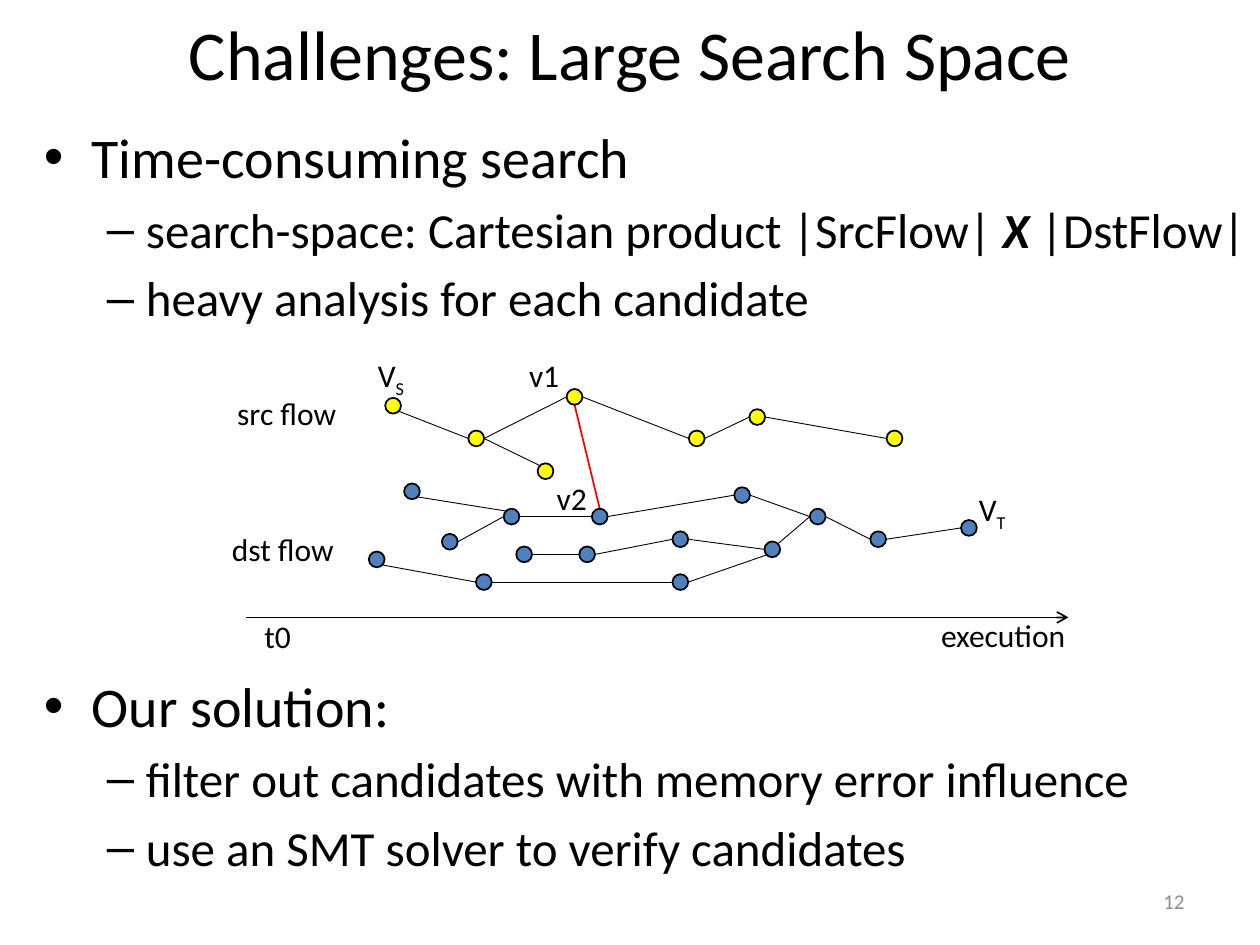
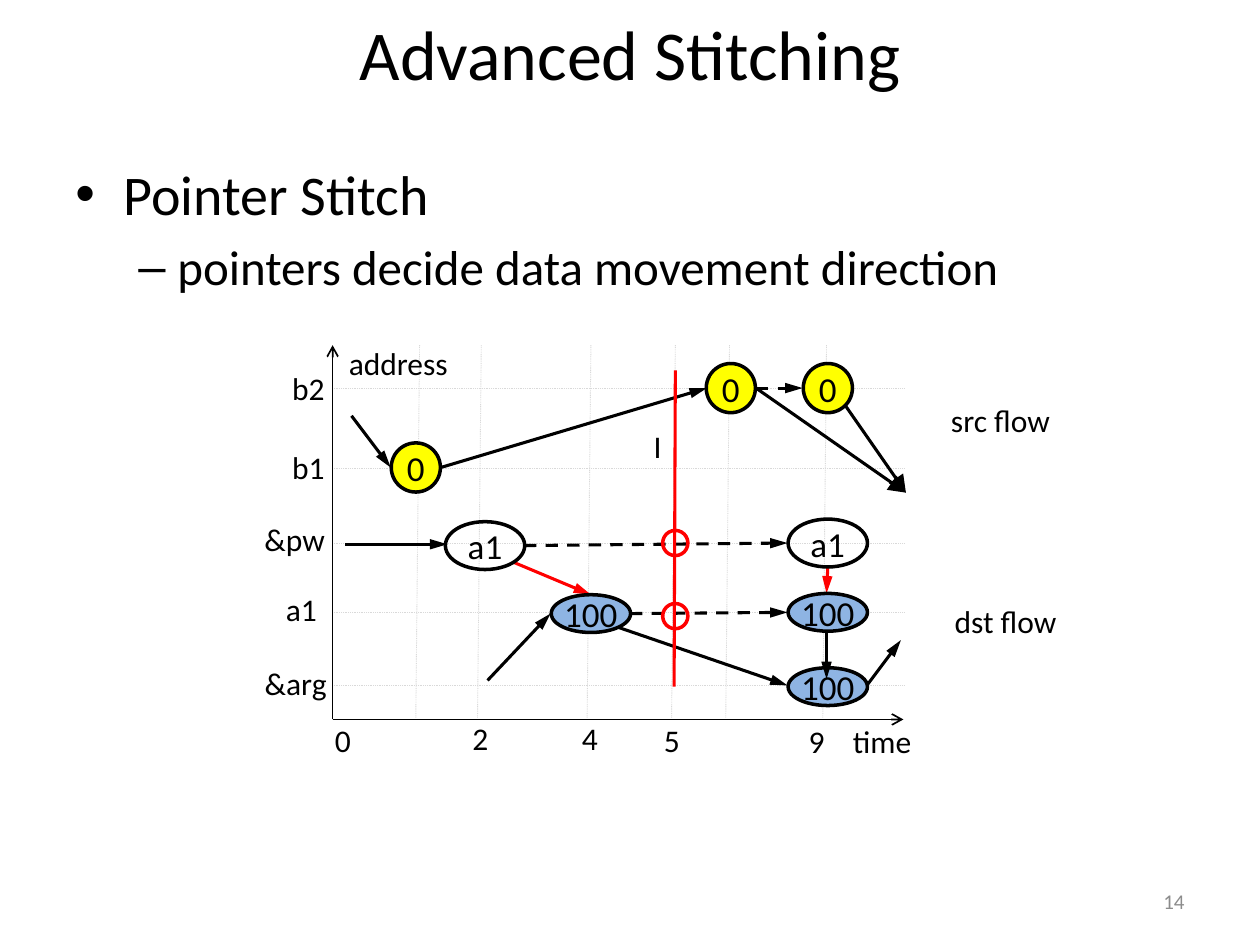
from lxml import etree
from pptx import Presentation
from pptx import util as u
from pptx.dml.color import RGBColor
from pptx.enum import dml, shapes, text
from pptx.oxml.ns import qn

FONT = "Calibri"
COLORS = {
    "black": "000000", "gray": "8C8C8C", "grid": "D9D9D9", "red": "FF0000",
    "yellow": "FFFF00", "blue": "4F81BD", "light blue": "8EB4E3",
}
LEFT, CENTER, RIGHT = text.PP_ALIGN.LEFT, text.PP_ALIGN.CENTER, text.PP_ALIGN.RIGHT
TOP, MIDDLE = text.MSO_ANCHOR.TOP, text.MSO_ANCHOR.MIDDLE


def write(shape, paragraphs, size=18, color="black", align=LEFT, anchor=TOP, inset=(0.1, 0.05)):
    """Fill a shape with paragraphs, each a list of (words, style) runs."""
    frame = shape.text_frame
    frame.word_wrap = True
    frame.vertical_anchor = anchor
    frame.margin_left = frame.margin_right = u.Inches(inset[0])
    frame.margin_top = frame.margin_bottom = u.Inches(inset[1])
    for index, runs in enumerate(paragraphs):
        paragraph = frame.add_paragraph() if index else frame.paragraphs[0]
        paragraph.alignment = align
        for words, style in runs:
            run = paragraph.add_run()
            run.text = words
            run.font.name = FONT
            run.font.size = u.Pt(size)
            run.font.color.rgb = RGBColor.from_string(COLORS[color])
            if style == "strong":
                run.font.bold = run.font.italic = True
            if style == "sub":
                run.font._element.set("baseline", "-25000")


def add_line(slide, start, end, color="black", width=0.5, dash=None, head=None):
    """Draw a straight line; head is (type, width, length) of the arrowhead at its end."""
    line = slide.shapes.add_connector(
        shapes.MSO_CONNECTOR.STRAIGHT, *[u.Inches(value) for value in (*start, *end)])
    line.line.color.rgb = RGBColor.from_string(COLORS[color])
    line.line.width = u.Pt(width)
    if dash:
        line.line.dash_style = dash
    if head:
        kind, breadth, length = head
        etree.SubElement(line.line._get_or_add_ln(), qn("a:tailEnd"),
                         type=kind, w=breadth, len=length)
    etree.SubElement(line._element.spPr, qn("a:effectLst"))


presentation = Presentation()
presentation.slide_width = u.Inches(10)
presentation.slide_height = u.Inches(7.5)

# Titles, slide numbers and bullets; a bullet is (level, runs)
pages = [
    ("Challenges: Large Search Space", "12", [
        ((0.25, 0.92, 9.83, 1.9), [
            (0, [("Time-consuming search", "")]),
            (1, [("search-space: Cartesian product |SrcFlow| ", ""),
                 ("X", "strong"), (" |DstFlow|", "")]),
            (1, [("heavy analysis for each candidate", "")])]),
        ((0.25, 5.28, 9.5, 1.9), [
            (0, [("Our solution:", "")]),
            (1, [("filter out candidates with memory error influence", "")]),
            (1, [("use an SMT solver to verify candidates", "")])]),
    ]),
    ("Advanced Stitching", "14", [
        ((0.5, 1.22, 9, 1.3), [
            (0, [("Pointer Stitch", "")]),
            (1, [("pointers decide data movement direction", "")])]),
    ]),
]
bullet_levels = [(32, 0.38, -0.38, "•"), (28, 0.81, -0.31, "–")]

slides = []
for title, number, blocks in pages:
    slide = presentation.slides.add_slide(presentation.slide_layouts[6])
    slides.append(slide)
    write(slide.shapes.add_textbox(*map(u.Inches, (0.5, 0, 9, 0.83))), [[(title, "")]],
          size=40, align=CENTER, anchor=MIDDLE)
    write(slide.shapes.add_textbox(*map(u.Inches, (7.17, 6.95, 2.33, 0.4))), [[(number, "")]],
          size=12, color="gray", align=RIGHT, anchor=MIDDLE)
    for box, bullets in blocks:
        block = slide.shapes.add_textbox(*map(u.Inches, box))
        write(block, [runs for level, runs in bullets])
        for paragraph, (level, runs) in zip(block.text_frame.paragraphs, bullets):
            size, margin, indent, mark = bullet_levels[level]
            paragraph.level = level
            paragraph.space_before = u.Pt(size * 0.2)
            for run in paragraph.runs:
                run.font.size = u.Pt(size)
            properties = paragraph._p.get_or_add_pPr()
            properties.set("marL", str(u.Inches(margin)))
            properties.set("indent", str(u.Inches(indent)))
            etree.SubElement(properties, qn("a:buFont"), typeface="Arial")
            etree.SubElement(properties, qn("a:buChar"), char=mark)

search, stitching = slides

# Search space: dots by centre
DOT = 0.125
src_dots = {"VS": (3.12, 3.22), "fork": (3.78, 3.48), "v1": (4.56, 3.15), "spur": (4.33, 3.74),
            "s1": (5.53, 3.48), "s2": (6.01, 3.31), "s3": (7.1, 3.48)}
dst_dots = {"top": (3.27, 3.9), "middle": (3.57, 4.3), "join": (4.06, 4.1), "v2": (4.76, 4.1),
            "d1": (5.89, 3.93), "d2": (6.49, 4.1), "d3": (6.97, 4.28), "VT": (7.69, 4.19),
            "inner1": (4.16, 4.4), "inner2": (4.66, 4.4), "inner3": (5.4, 4.28),
            "low1": (2.99, 4.44), "low2": (3.84, 4.62), "low3": (5.4, 4.62),
            "merge": (6.13, 4.36)}
dots = {**src_dots, **dst_dots}

# Search space: edges leave and enter at a compass point of the dots
compass = {"E": (1, 0), "W": (-1, 0), "N": (0, -1), "S": (0, 1),
           "NE": (0.7, -0.7), "NW": (-0.7, -0.7), "SE": (0.7, 0.7), "SW": (-0.7, 0.7)}
straight_paths = ["fork v1 s1 s2 s3", "middle join v2 d1 d2 d3 VT",
                  "inner1 inner2 inner3 merge", "low2 low3"]
edges = [(start, "E", end, "W", "black", 0.5)
         for route in straight_paths
         for start, end in zip(route.split(), route.split()[1:])]
edges += [("VS", "SE", "fork", "W", "black", 0.5), ("fork", "E", "spur", "NW", "black", 0.5),
          ("top", "SE", "join", "NW", "black", 0.5), ("low1", "SE", "low2", "W", "black", 0.5),
          ("low3", "E", "merge", "SW", "black", 0.5), ("merge", "NE", "d2", "W", "black", 0.5),
          ("v1", "S", "v2", "N", "red", 1)]
for start, leave, end, enter, color, width in edges:
    ends = [[centre + DOT / 2 * step for centre, step in zip(dots[dot], compass[side])]
            for dot, side in ((start, leave), (end, enter))]
    add_line(search, *ends, color=color, width=width)

# Stitching: dotted grid behind the axes
for y in (3.08, 3.72, 4.31, 4.86, 5.44):
    add_line(stitching, (2.65, y), (7.18, y), "grid", dash=dml.MSO_LINE.ROUND_DOT)
for x in (3.33, 3.82, 4.69, 5.36, 5.79, 6.56):
    add_line(stitching, (x, 2.74), (x - 0.03, 5.7), "grid", dash=dml.MSO_LINE.ROUND_DOT)

# Axes of both diagrams
open_head = ("arrow", "med", "med")
add_line(search, (1.95, 4.9), (8.48, 4.9), width=1, head=open_head)
for end in ((7.17, 5.71), (2.64, 2.74)):
    add_line(stitching, (2.64, 5.71), end, width=1, head=open_head)

# Stitching: data movement arrows
slim_head, wide_head = ("triangle", "med", "lg"), ("triangle", "lg", "lg")
dashed = dml.MSO_LINE.DASH
arrows = [
    ((2.79, 3.3), (3.1, 3.71), "black", None, slim_head),
    ((3.5, 3.71), (5.61, 3.08), "black", None, slim_head),
    ((6, 3.08), (6.37, 3.08), "black", dashed, slim_head),
    ((6, 3.08), (7.19, 3.91), "black", None, wide_head),
    ((6.71, 3.22), (7.19, 3.91), "black", None, wide_head),
    ((2.74, 4.32), (3.55, 4.32), "black", None, slim_head),
    ((4.16, 4.33), (6.25, 4.31), "black", dashed, slim_head),
    ((4.07, 4.46), (4.69, 4.72), "red", None, slim_head),
    ((6.57, 4.5), (6.56, 4.71), "red", None, slim_head),
    ((3.87, 5.4), (4.37, 4.87), "black", None, slim_head),
    ((5, 4.87), (6.25, 4.86), "black", dashed, slim_head),
    ((4.91, 4.98), (6.25, 5.44), "black", None, slim_head),
    ((6.88, 5.44), (7.15, 5.08), "black", None, slim_head),
    ((5.35, 5.45), (5.36, 2.94), "red", None, None),
]
for start, end, color, dash, head in arrows:
    add_line(stitching, start, end, color, 1.75, dash, head)

# Ellipses of both diagrams: slide, centre, size, fill, line colour, line width, value
ellipses = [(search, centre, (DOT, DOT), fill, "black", 1, "")
            for group, fill in ((src_dots, "yellow"), (dst_dots, "blue"))
            for centre in group.values()]
nodes = [
    ("0", (0.39, 0.39), "yellow", "black", [(3.3, 3.71), (5.8, 3.08), (6.57, 3.08)]),
    ("a1", (0.63, 0.38), None, "black", [(3.85, 4.33), (6.57, 4.31)]),
    ("100", (0.63, 0.3), "light blue", "black", [(4.69, 4.87), (6.57, 4.86), (6.57, 5.45)]),
    ("", (0.2, 0.2), None, "red", [(5.36, 4.31), (5.36, 4.89)]),
]
ellipses += [(stitching, centre, size, fill, outline, 2, value)
             for value, size, fill, outline, centres in nodes for centre in centres]
for slide, (x, y), (width, height), fill, outline, weight, value in ellipses:
    shape = slide.shapes.add_shape(
        shapes.MSO_SHAPE.OVAL,
        *map(u.Inches, (x - width / 2, y - height / 2, width, height)))
    shape.shadow.inherit = False
    if fill:
        shape.fill.solid()
        shape.fill.fore_color.rgb = RGBColor.from_string(COLORS[fill])
    else:
        shape.fill.background()
    shape.line.color.rgb = RGBColor.from_string(COLORS[outline])
    shape.line.width = u.Pt(weight)
    if value:
        write(shape, [[(value, "")]], size=20, align=CENTER, anchor=MIDDLE, inset=(0, 0))

# The arrow between the two lower values ends on top of the lower one
add_line(stitching, (6.56, 5.01), (6.56, 5.39), width=1.75, head=slim_head)

# Labels: slide, text with an optional subscript after "_", left, top, width, alignment
labels = [
    (search, "src flow", 1.67, 3.08, 1.21, CENTER),
    (search, "dst flow", 1.58, 4.16, 1.33, CENTER),
    (search, "t0", 2, 4.85, 0.58, LEFT),
    (search, "execution", 7.37, 4.84, 1.38, LEFT),
    (search, "V_S", 2.9, 2.78, 0.6, LEFT),
    (search, "v1", 4.1, 2.78, 0.58, LEFT),
    (search, "v2", 4.32, 3.75, 0.65, LEFT),
    (search, "V_T", 7.67, 3.84, 0.6, LEFT),
    (stitching, "address", 2.67, 2.68, 1.2, LEFT),
    (stitching, "b2", 2.22, 2.88, 0.47, LEFT),
    (stitching, "b1", 2.22, 3.51, 0.47, LEFT),
    (stitching, "&pw", 2, 4.08, 0.69, LEFT),
    (stitching, "a1", 2.17, 4.63, 0.69, LEFT),
    (stitching, "&arg", 1.97, 5.22, 0.72, RIGHT),
    (stitching, "0", 2.56, 5.67, 0.63, LEFT),
    (stitching, "2", 3.65, 5.66, 0.35, LEFT),
    (stitching, "4", 4.52, 5.66, 0.35, LEFT),
    (stitching, "5", 5.17, 5.67, 0.35, LEFT),
    (stitching, "9", 6.32, 5.68, 0.35, LEFT),
    (stitching, "time", 6.67, 5.68, 0.75, LEFT),
    (stitching, "I", 5.09, 3.34, 0.34, LEFT),
    (stitching, "src flow", 7.38, 3.13, 1.12, CENTER),
    (stitching, "dst flow", 7.42, 4.73, 1.12, CENTER),
]
for slide, label, left, top, width, align in labels:
    base, _, subscript = label.partition("_")
    runs = [(base, "")] + ([(subscript, "sub")] if subscript else [])
    write(slide.shapes.add_textbox(*map(u.Inches, (left, top, width, 0.4))), [runs], align=align)

presentation.save("out.pptx")
